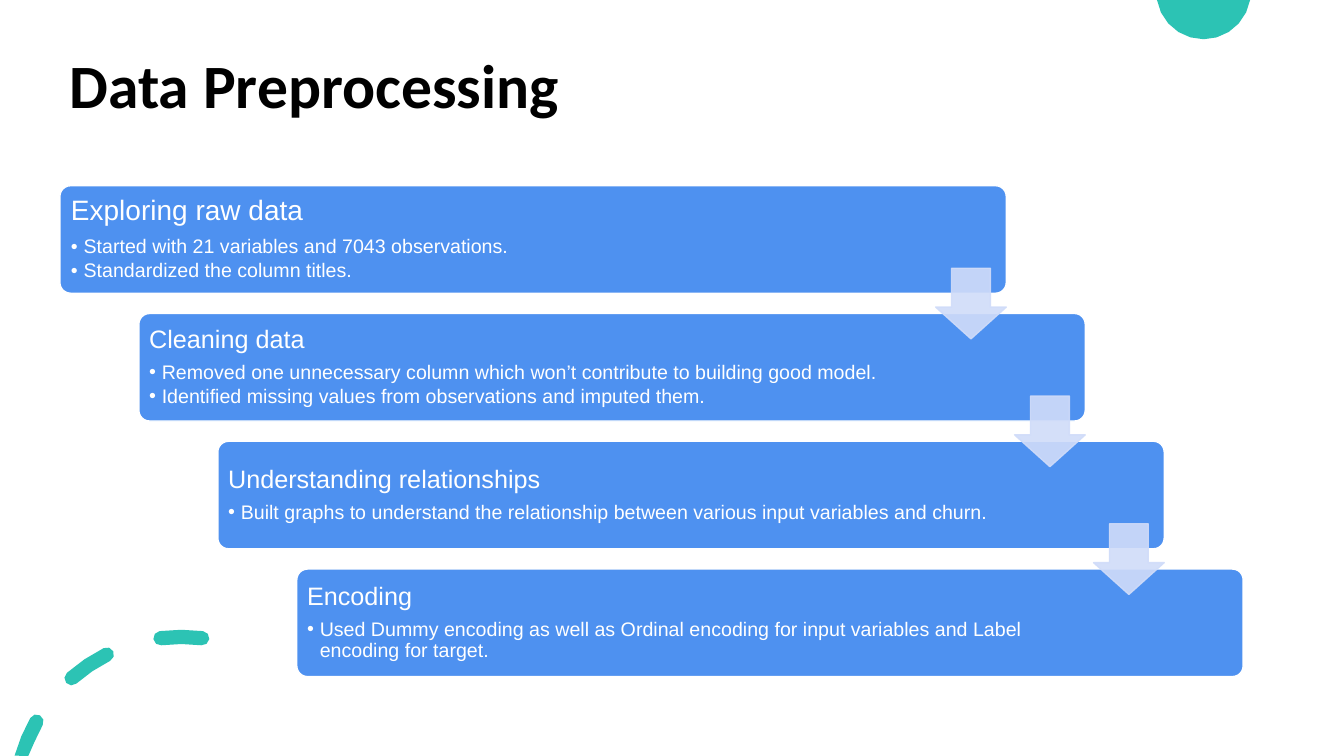
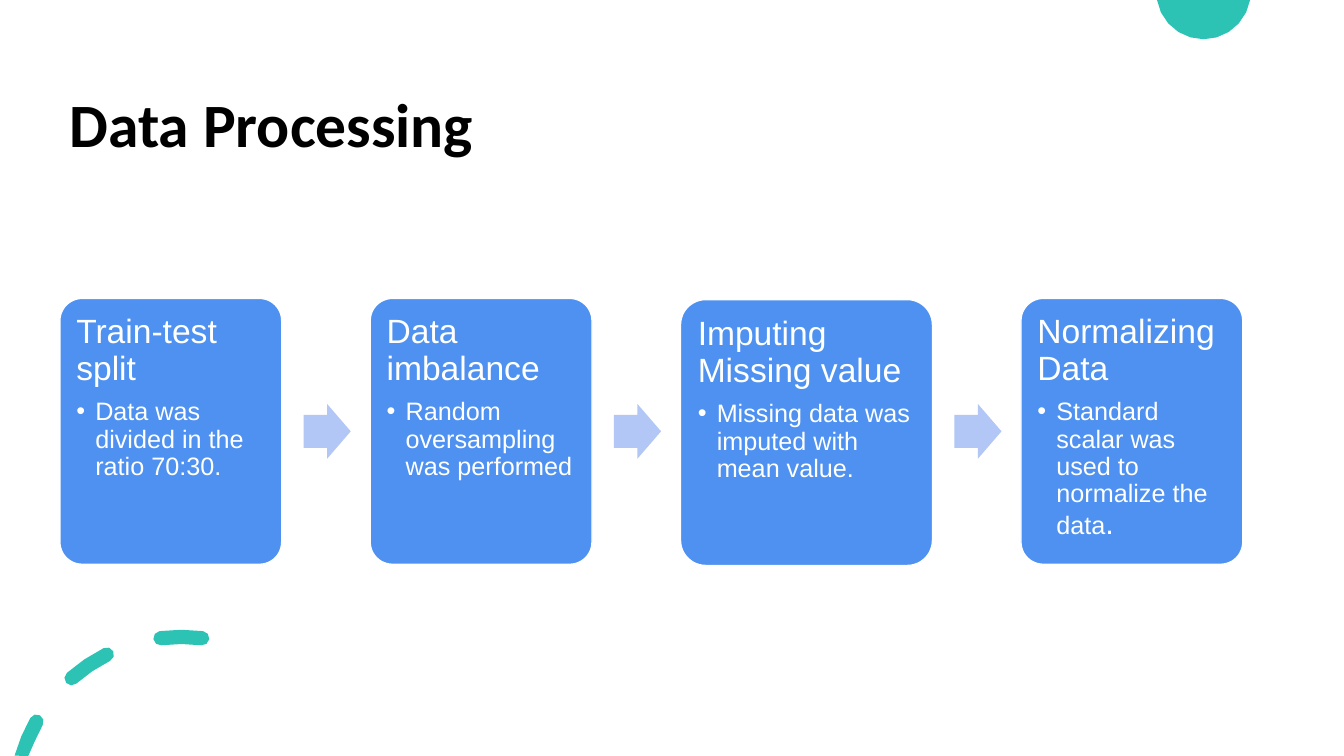
"""Build two slides on preparing data: a staircase of steps and a row of cards."""
import math
from lxml import etree
from pptx import Presentation, util as u
from pptx.dml import color
from pptx.enum import shapes, text
from pptx.oxml import ns

TEAL, BLUE, WHITE, BLACK = "2CC3B4", "4E91F0", "FFFFFF", "000000"
PALE, SOFT = "D0DCF9", "B2C7F6"
WIDE, HIGH = 33.87, 19.05
KIND = shapes.MSO_SHAPE

STEPS = [
    ("Exploring raw data", 20, [
        "Started with 21 variables and 7043 observations.",
        "Standardized the column titles."]),
    ("Cleaning data", 18, [
        "Removed one unnecessary column which won’t contribute to building good model.",
        "Identified missing values from observations and imputed them."]),
    ("Understanding relationships", 18, [
        "Built graphs to understand the relationship between various input variables and churn."]),
    ("Encoding", 18, [
        "Used Dummy encoding as well as Ordinal encoding for input variables and Label encoding for target."]),
]
CARDS = [
    ("Train-test split", 7.52, 5.59, [("Data was divided in the ratio 70:30.", 18)]),
    ("Data imbalance", 7.52, 5.59, [("Random oversampling was performed", 18)]),
    ("Imputing Missing value", 7.55, 6.35, [("Missing data was imputed with mean value.", 18)]),
    ("Normalizing Data", 7.52, 5.59, [
        ("Standard scalar was used to normalize the data", 18), (".", 22)]),
]


def rgb(code):
    """Turn a hex string into a colour."""
    return color.RGBColor.from_string(code)


def paint(shape, fill, line=None):
    """Set a flat fill and an optional thin line."""
    shape.shadow.inherit = False
    shape.fill.solid()
    shape.fill.fore_color.rgb = rgb(fill)
    if line:
        shape.line.color.rgb = rgb(line)
        shape.line.width = u.Pt(1)
    else:
        shape.line.fill.background()


def fade(shape, part):
    """Make the fill and line of a shape partly clear."""
    for node in shape.element.spPr.iter(ns.qn("a:srgbClr")):
        etree.SubElement(node, ns.qn("a:alpha"), val=str(part * 1000))


def block(slide, kind, box, fill, line=None, adj=(0.1,)):
    """Add a preset shape with its adjustments."""
    shape = slide.shapes.add_shape(kind, *map(u.Cm, box))
    for i, value in enumerate(adj):
        shape.adjustments[i] = value
    paint(shape, fill, line)
    return shape


def setup(frame, pads, anchor):
    """Set wrap, insets and anchor of a text frame."""
    frame.word_wrap = True
    frame.vertical_anchor = anchor
    frame.margin_left, frame.margin_top, frame.margin_right, frame.margin_bottom = map(u.Cm, pads)


def write(para, runs, tint=WHITE, face="Arial", bold=False, after=0.0):
    """Fill a paragraph run by run from pairs of words and size."""
    para.alignment = text.PP_ALIGN.LEFT
    para.line_spacing = 0.9
    para.space_after = u.Pt(round(after * runs[0][1], 1))
    for words, size in runs:
        run = para.add_run()
        run.text = words
        run.font.size = u.Pt(size)
        run.font.name = face
        run.font.bold = bold
        run.font.color.rgb = rgb(tint)


def bullet(para, dent):
    """Give a paragraph a hanging bullet."""
    para.level = 1
    props = para._p.get_or_add_pPr()
    props.set("marL", str(u.Cm(dent)))
    props.set("indent", str(-u.Cm(dent)))
    etree.SubElement(props, ns.qn("a:buFont"), typeface="Arial")
    etree.SubElement(props, ns.qn("a:buChar"), char="•")


def panel(slide, box, head, items, dent, pads, anchor):
    """Add a rounded box with a heading and bullets."""
    frame = block(slide, KIND.ROUNDED_RECTANGLE, box, BLUE, WHITE).text_frame
    setup(frame, pads, anchor)
    write(frame.paragraphs[0], [head], after=0.35)
    for runs in items:
        para = frame.add_paragraph()
        write(para, runs, after=0.15)
        bullet(para, dent)


def arc(mid, radius, start, end, count):
    """List points on an arc, angles in degrees, counted upwards."""
    turns = [math.radians(start + (end - start) * i / count) for i in range(count + 1)]
    return [(mid[0] + radius * math.cos(t), mid[1] - radius * math.sin(t)) for t in turns]


def outline(slide, loops):
    """Add one teal shape of closed loops, cut at the slide's edges."""
    form = None
    for loop in loops:
        first, *rest = [(u.Cm(x), u.Cm(min(max(y, 0), HIGH))) for x, y in loop]
        if form:
            form.move_to(*first)
        else:
            form = slide.shapes.build_freeform(*first)
        form.add_line_segments(rest, close=True)
    paint(form.convert_to_shape(), TEAL)


def dash(start, end, cap=True):
    """List the outline of a thick arc on the corner ring."""
    mid, ring, half = (4.57, 20.24), 4.19, 0.18
    first, last = (arc(mid, ring, a, a, 1)[0] for a in (start, end))
    tip = arc(last, half, end, end + 180, 4)[1:-1] if cap else []
    return (arc(mid, ring + half, start, end, 2) + tip
            + arc(mid, ring - half, end, start, 2)
            + arc(first, half, start + 180, start + 360, 4)[1:-1])


def base(deck, title, top):
    """Add a slide with the shared trim and title."""
    slide = deck.slides.add_slide(deck.slide_layouts[6])
    outline(slide, [arc((30.33, -0.2), 1.19, 189.6, 350.4, 10)])
    outline(slide, [dash(150.6, 164.1, False), dash(116.6, 131.3), dash(82.8, 97.2)])
    frame = slide.shapes.add_textbox(*map(u.Cm, (1.5, top, 29.21, 2.44))).text_frame
    setup(frame, (0.25, 0.13, 0.25, 0.13), text.MSO_ANCHOR.MIDDLE)
    write(frame.paragraphs[0], [(title, 44)], BLACK, "Calibri", True)
    return slide


def stairs(slide):
    """Draw the steps, each lower and further right, then their arrows."""
    spots = [(1.51 + 1.99 * i, 4.68 + 3.22 * i) for i in range(len(STEPS))]
    for (x, y), (head, size, lines) in zip(spots, STEPS):
        pad = size / 100
        panel(slide, (x, y, 23.85, 2.71), (head, size), [[(line, 14)] for line in lines],
              0.32, (pad, pad, 3.9, pad), text.MSO_ANCHOR.MIDDLE)
    for x, y in spots[:-1]:
        arrow = block(slide, KIND.DOWN_ARROW, (x + 22.07, y + 2.08, 1.78, 1.78),
                      PALE, PALE, (0.55, 0.45))
        fade(arrow, 90)


def cards(slide):
    """Draw the cards from left to right with arrows in the gaps."""
    left, gap = 1.51, 2.23
    for i, (head, top, width, runs) in enumerate(CARDS):
        if i:
            block(slide, KIND.RIGHT_ARROW, (left - gap + 0.55, 10.18, 1.19, 1.38),
                  SOFT, adj=(0.6, 0.5))
        panel(slide, (left, top, width, 6.7), (head, 24), [runs],
              0.48, (0.25,) * 4, text.MSO_ANCHOR.TOP)
        left += width + gap


def main():
    """Build and save the deck."""
    deck = Presentation()
    deck.slide_width, deck.slide_height = u.Cm(WIDE), u.Cm(HIGH)
    stairs(base(deck, "Data Preprocessing", 1.02))
    cards(base(deck, "Data Processing", 1.99))
    deck.save("out.pptx")


if __name__ == "__main__":
    main()
